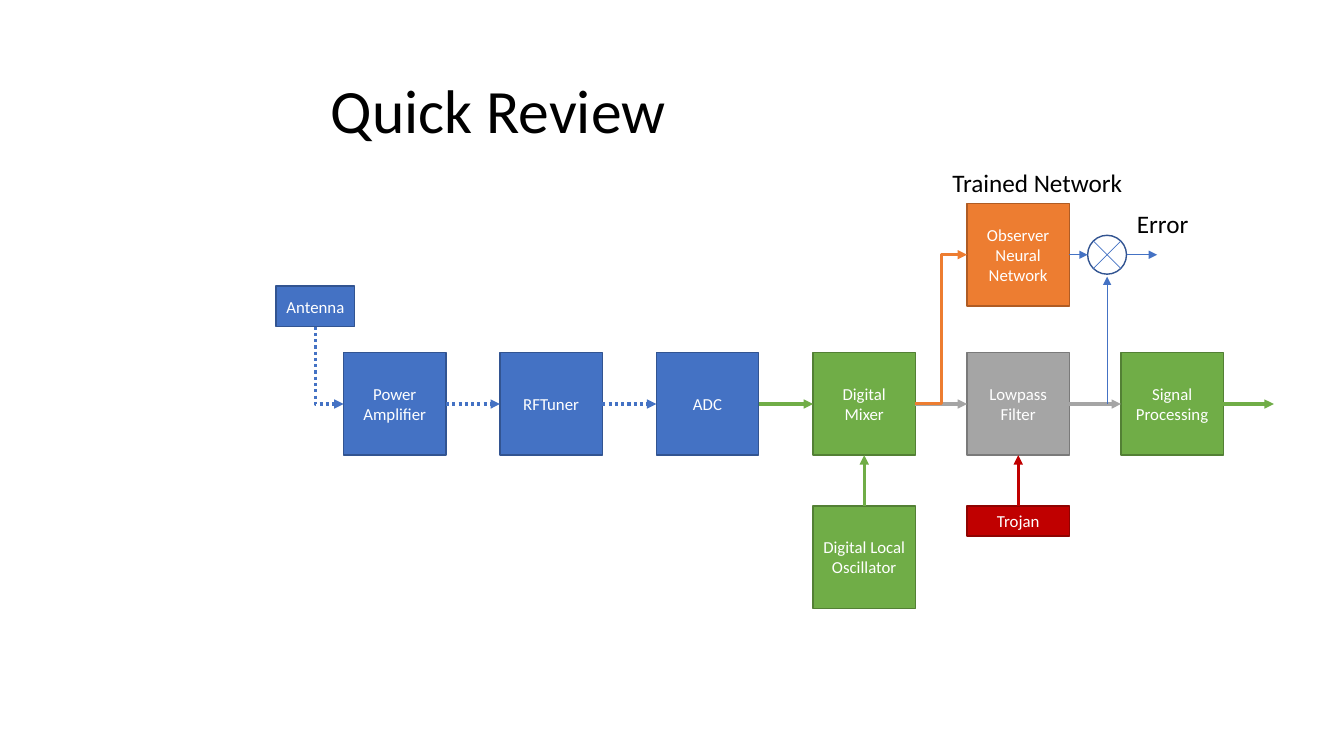
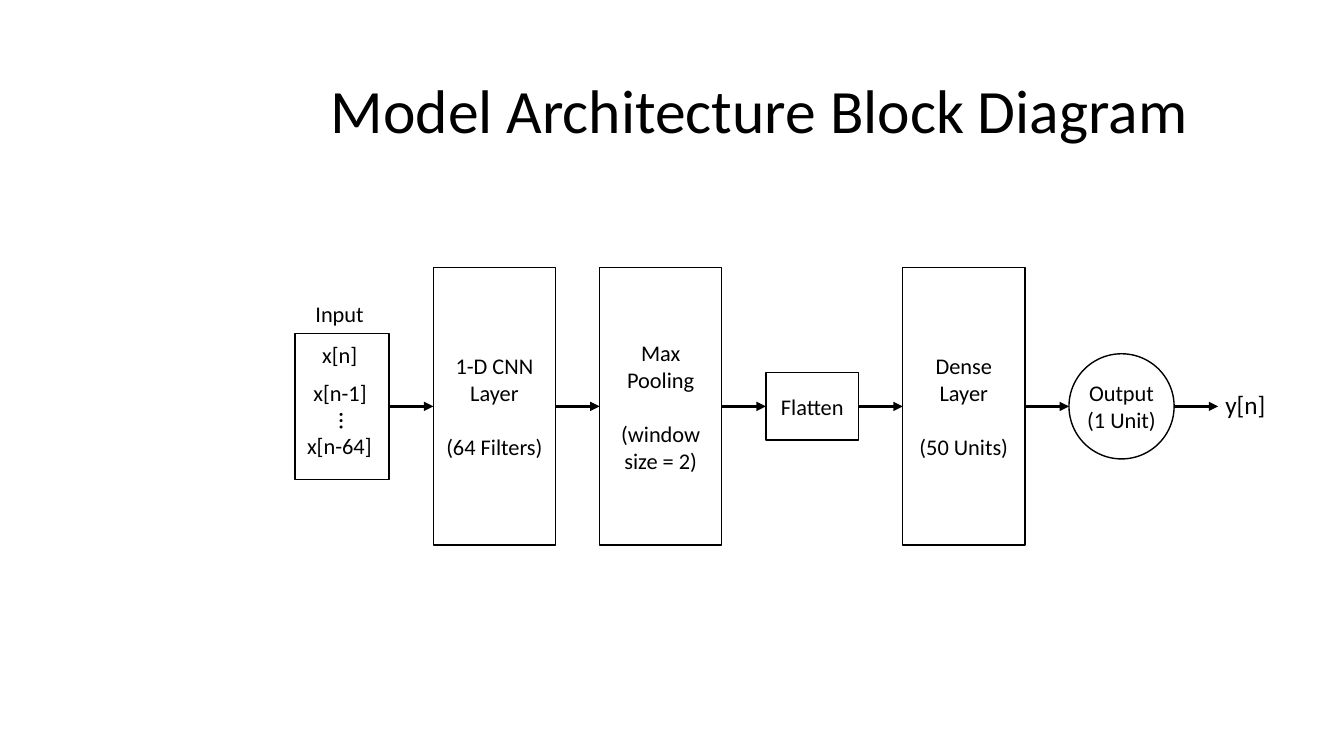
"""Build two slides: a receiver chain review and a model architecture diagram."""
import itertools

import lxml.etree
import pptx
import pptx.dml.color
import pptx.enum.dml
import pptx.enum.shapes
import pptx.enum.text
import pptx.oxml.ns
import pptx.util

Cm = pptx.util.Cm
Pt = pptx.util.Pt
RECTANGLE = pptx.enum.shapes.MSO_SHAPE.RECTANGLE
OVAL = pptx.enum.shapes.MSO_SHAPE.OVAL
STRAIGHT = pptx.enum.shapes.MSO_CONNECTOR.STRAIGHT
ELBOW = pptx.enum.shapes.MSO_CONNECTOR.ELBOW
DOTTED = pptx.enum.dml.MSO_LINE.ROUND_DOT
CENTER = pptx.enum.text.PP_ALIGN.CENTER
LEFT = pptx.enum.text.PP_ALIGN.LEFT
MIDDLE = pptx.enum.text.MSO_ANCHOR.MIDDLE
TOP_SIDE, LEFT_SIDE, BOTTOM_SIDE, RIGHT_SIDE = range(4)

FONT = "Calibri"
BLACK, WHITE = "000000", "FFFFFF"
BLUE, GREEN, GRAY, ORANGE, RED = "4472C4", "70AD47", "A5A5A5", "ED7D31", "C00000"
OUTLINES = {BLUE: "325491", GREEN: "538035", GRAY: "7A7A7A", ORANGE: "AF5C24", RED: "8F0301"}
THICK, THIN = 2.25, 0.5

SIDE = 2.58
COLUMNS = [8.66 + 3.94 * i for i in range(3)] + [20.49 + 3.88 * i for i in range(3)]
CHAIN_TOP, OBSERVER_TOP, LOWER_TOP = 8.89, 5.13, 12.75
CHAIN_MIDDLE = CHAIN_TOP + SIDE / 2

REVIEW_BOXES = {
    "amplifier": (["Power Amplifier"], COLUMNS[0], CHAIN_TOP, SIDE, SIDE, BLUE),
    "tuner": (["RFTuner"], COLUMNS[1], CHAIN_TOP, SIDE, SIDE, BLUE),
    "converter": (["ADC"], COLUMNS[2], CHAIN_TOP, SIDE, SIDE, BLUE),
    "mixer": (["Digital Mixer"], COLUMNS[3], CHAIN_TOP, SIDE, SIDE, GREEN),
    "filter": (["Lowpass Filter"], COLUMNS[4], CHAIN_TOP, SIDE, SIDE, GRAY),
    "processing": (["Signal Processing"], COLUMNS[5], CHAIN_TOP, SIDE, SIDE, GREEN),
    "antenna": (["Antenna"], 6.96, 7.21, 1.98, 1.02, BLUE),
    "oscillator": (["Digital Local Oscillator"], COLUMNS[3], LOWER_TOP, SIDE, SIDE, GREEN),
    "observer": (["Observer", "Neural Network"], COLUMNS[4], OBSERVER_TOP, SIDE, SIDE, ORANGE),
    "trojan": (["Trojan"], COLUMNS[4], LOWER_TOP, SIDE, 0.76, RED),
}
REVIEW_LINKS = [
    ("amplifier", RIGHT_SIDE, "tuner", LEFT_SIDE, BLUE, STRAIGHT, DOTTED),
    ("tuner", RIGHT_SIDE, "converter", LEFT_SIDE, BLUE, STRAIGHT, DOTTED),
    ("converter", RIGHT_SIDE, "mixer", LEFT_SIDE, GREEN, STRAIGHT, None),
    ("mixer", RIGHT_SIDE, "filter", LEFT_SIDE, GRAY, STRAIGHT, None),
    ("filter", RIGHT_SIDE, "processing", LEFT_SIDE, GRAY, STRAIGHT, None),
    ("mixer", RIGHT_SIDE, "observer", LEFT_SIDE, ORANGE, ELBOW, None),
    ("oscillator", TOP_SIDE, "mixer", BOTTOM_SIDE, GREEN, STRAIGHT, None),
    ("trojan", TOP_SIDE, "filter", BOTTOM_SIDE, RED, STRAIGHT, None),
]
REVIEW_LABELS = [("Error", 28.4, 5.13, 2.41), ("Trained Network", 23.75, 4.09, 5.41)]
JUNCTION_X, JUNCTION_Y, JUNCTION_RADIUS, CROSS_REACH = 27.9, 6.42, 0.49, 0.35

MODEL_LEFT, MODEL_MIDDLE, MODEL_GAP = 7.44, 10.24, 1.11
MODEL_BOXES = [
    ([], 2.37, 3.68, RECTANGLE, None),
    (["1-D CNN Layer", "(64 Filters)"], 3.08, 6.99, RECTANGLE, 19.5),
    (["Max Pooling", "(window size = 2)"], 3.08, 6.99, RECTANGLE, 19.5),
    (["Flatten"], 2.34, 1.7, RECTANGLE, None),
    (["Dense Layer", "(50 Units)"], 3.08, 6.99, RECTANGLE, 19.5),
    (["Output", "(1 Unit)"], 2.65, 2.65, OVAL, None),
]
MODEL_LABELS = [
    ("Input", 7.7, 7.44, 1.75, 0.94, 16, 0),
    ("x[n]", 7.87, 8.46, 1.4, 0.94, 16, 0),
    ("x[n-1]", 7.65, 9.42, 1.85, 0.94, 16, 0),
    ("…", 8.33, 10.13, 0.97, 1.02, 18, 90),
    ("x[n-64]", 7.49, 10.77, 2.16, 0.94, 16, 0),
    ("y[n]", 30.63, 9.68, 1.52, 1.02, 18, 0),
]


def rgb(value):
    return pptx.dml.color.RGBColor.from_string(value)


def write(frame, lines, size, color, alignment, gap=None):
    for index, line in enumerate(lines):
        paragraph = frame.add_paragraph() if index else frame.paragraphs[0]
        paragraph.alignment = alignment
        if index and gap:
            paragraph.space_before = Pt(gap)
        run = paragraph.add_run()
        run.text = line
        run.font.name, run.font.size = FONT, Pt(size)
        run.font.color.rgb = rgb(color)


def add_titled_slide(presentation, title):
    slide = presentation.slides.add_slide(presentation.slide_layouts[5])
    shape = slide.shapes.title
    shape.left, shape.top, shape.width, shape.height = Cm(8.08), Cm(1.02), Cm(23.47), Cm(3.68)
    frame = shape.text_frame
    frame.auto_size = pptx.enum.text.MSO_AUTO_SIZE.NONE
    frame.vertical_anchor = MIDDLE
    write(frame, [title], 44, BLACK, LEFT)
    frame.paragraphs[0].line_spacing = 0.9
    return slide


def add_box(slide, kind, left, top, width, height, fill, outline):
    shape = slide.shapes.add_shape(kind, Cm(left), Cm(top), Cm(width), Cm(height))
    shape.shadow.inherit = False
    if fill:
        shape.fill.solid()
        shape.fill.fore_color.rgb = rgb(fill)
    else:
        shape.fill.background()
    shape.line.color.rgb = rgb(outline)
    shape.line.width = Pt(1)
    shape.text_frame.word_wrap = True
    shape.text_frame.vertical_anchor = MIDDLE
    return shape


def add_label(slide, text, left, top, width, height, size, rotation=0, wrap=False):
    box = slide.shapes.add_textbox(Cm(left), Cm(top), Cm(width), Cm(height))
    box.rotation = rotation
    box.text_frame.word_wrap = wrap
    box.text_frame.auto_size = pptx.enum.text.MSO_AUTO_SIZE.SHAPE_TO_FIT_TEXT
    write(box.text_frame, [text], size, BLACK, LEFT)


def add_link(slide, begin, end, color, width=THICK, kind=STRAIGHT, dash=None, arrow=True):
    """Draw a line whose ends are each a (shape, side) pair or a point in centimetres."""
    connector = slide.shapes.add_connector(kind, 0, 0, 0, 0)
    if isinstance(begin[0], (int, float)):
        connector.begin_x, connector.begin_y = Cm(begin[0]), Cm(begin[1])
    else:
        connector.begin_connect(*begin)
    if isinstance(end[0], (int, float)):
        connector.end_x, connector.end_y = Cm(end[0]), Cm(end[1])
    else:
        connector.end_connect(*end)
    connector.line.color.rgb = rgb(color)
    connector.line.width = Pt(width)
    if dash:
        connector.line.dash_style = dash
    qualify = pptx.oxml.ns.qn
    properties = connector._element.spPr
    if arrow:
        line = properties.find(qualify("a:ln"))
        lxml.etree.SubElement(line, qualify("a:tailEnd")).set("type", "triangle")
    lxml.etree.SubElement(properties, qualify("a:effectLst"))
    return connector


def turn_down_then_right(connector):
    """Give an elbow connector a single corner below its start."""
    across, down = connector.width, connector.height
    center_x, center_y = connector.left + across // 2, connector.top + down // 2
    connector.left, connector.top = center_x - down // 2, center_y - across // 2
    connector.width, connector.height = down, across
    properties = connector._element.spPr
    properties.find(pptx.oxml.ns.qn("a:prstGeom")).set("prst", "bentConnector2")
    transform = properties.find(pptx.oxml.ns.qn("a:xfrm"))
    transform.set("rot", "16200000")
    transform.set("flipH", "1")


def add_junction(slide, observer):
    x, y, radius, reach = JUNCTION_X, JUNCTION_Y, JUNCTION_RADIUS, CROSS_REACH
    add_box(slide, OVAL, x - radius, y - radius, 2 * radius, 2 * radius, None, OUTLINES[BLUE])
    for rise in (reach, -reach):
        add_link(slide, (x - reach, y - rise), (x + reach, y + rise), BLUE, THIN, arrow=False)
    add_link(slide, (observer, RIGHT_SIDE), (x - radius, y), BLUE, THIN)
    add_link(slide, (x, CHAIN_MIDDLE), (x, y + radius + 0.06), BLUE, THIN)
    add_link(slide, (x + radius, y), (x + radius + 0.77, y), BLUE, THIN)


def build_review(presentation):
    slide = add_titled_slide(presentation, "Quick Review")
    boxes = {}
    for name, (lines, left, top, width, height, fill) in REVIEW_BOXES.items():
        boxes[name] = add_box(slide, RECTANGLE, left, top, width, height, fill, OUTLINES[fill])
        write(boxes[name].text_frame, lines, 12, WHITE, CENTER)
    for begin, begin_side, end, end_side, color, kind, dash in REVIEW_LINKS:
        add_link(slide, (boxes[begin], begin_side), (boxes[end], end_side), color, THICK, kind, dash)
    turn_down_then_right(add_link(slide, (boxes["antenna"], BOTTOM_SIDE),
                                  (boxes["amplifier"], LEFT_SIDE), BLUE, THICK, ELBOW, DOTTED))
    add_link(slide, (boxes["processing"], RIGHT_SIDE), (32.1, CHAIN_MIDDLE), GREEN)
    add_junction(slide, boxes["observer"])
    for text, left, top, width in REVIEW_LABELS:
        add_label(slide, text, left, top, width, 1.02, 18, wrap=True)


def build_model(presentation):
    slide = add_titled_slide(presentation, "Model Architecture Block Diagram")
    left = MODEL_LEFT
    boxes = []
    for lines, width, height, kind, gap in MODEL_BOXES:
        box = add_box(slide, kind, left, MODEL_MIDDLE - height / 2, width, height,
                      WHITE if lines else None, BLACK)
        if kind == OVAL:
            box.text_frame.margin_left = box.text_frame.margin_right = 0
            output_left, output_right = left, left + width
        write(box.text_frame, lines, 16, BLACK, CENTER, gap)
        boxes.append(box)
        left += width + MODEL_GAP
    *layers, output = boxes
    for previous, following in itertools.pairwise(layers):
        add_link(slide, (previous, RIGHT_SIDE), (following, LEFT_SIDE), BLACK)
    add_link(slide, (layers[-1], RIGHT_SIDE), (output_left, MODEL_MIDDLE), BLACK)
    add_link(slide, (output_right, MODEL_MIDDLE), (left, MODEL_MIDDLE), BLACK)
    for label in MODEL_LABELS:
        add_label(slide, *label)


def main():
    presentation = pptx.Presentation()
    presentation.slide_width, presentation.slide_height = Cm(33.87), Cm(19.05)
    build_review(presentation)
    build_model(presentation)
    presentation.save("out.pptx")


if __name__ == "__main__":
    main()
